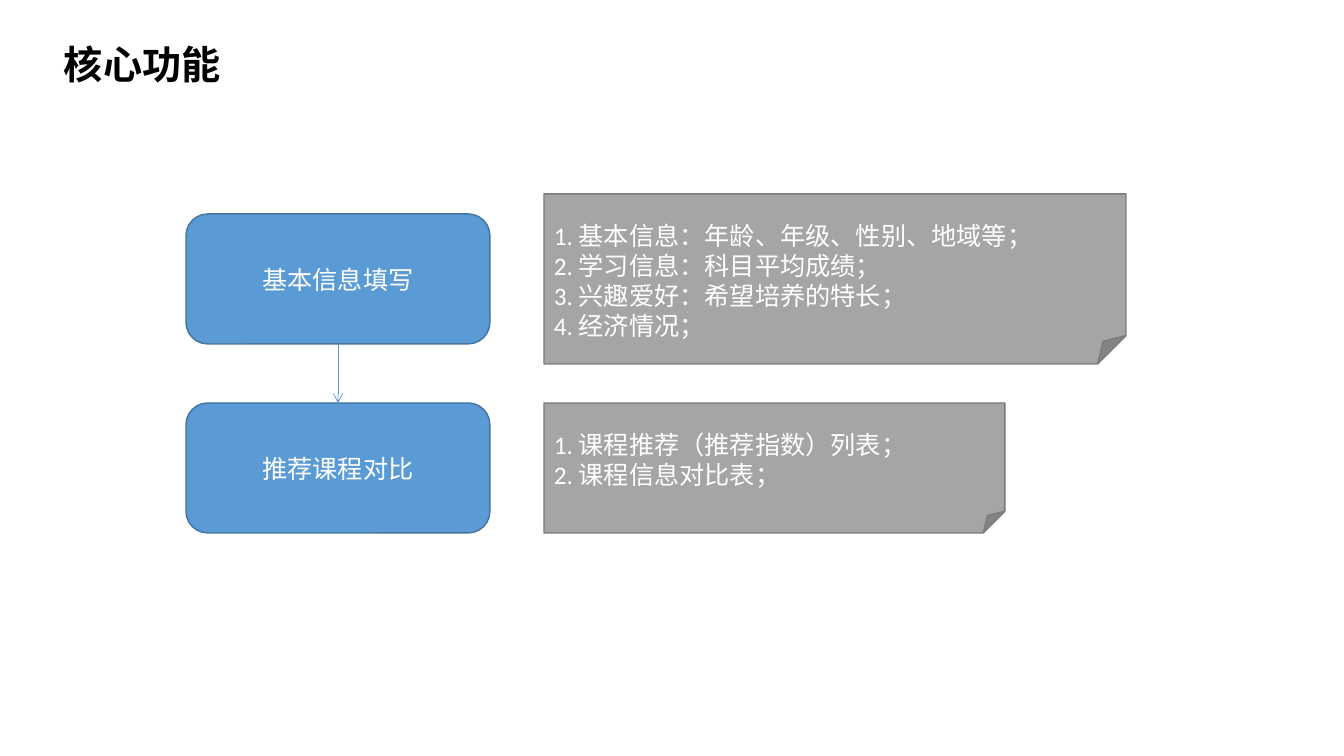
from lxml import etree
from pptx import Presentation, util as u
from pptx.dml.color import RGBColor
from pptx.enum import shapes, text
from pptx.oxml.ns import qn

PX = 914400 / 100.8
FONT = "Calibri"
COLORS = {
    "title": "000000", "text": "FFFFFF",
    "step": "5B9BD5", "step_line": "43739E",
    "note": "A5A5A5", "note_line": "7A7A7A",
}
STEP_X, STEP_W, NOTE_X, ROW_H = 186, 304, 544, 130


def px(n):
    return u.Emu(round(n * PX))


def color(name):
    return RGBColor.from_string(COLORS[name])


def write(tf, lines, size, name, align, bold=False):
    tf.text = "\n".join(lines)
    for p in tf.paragraphs:
        p.alignment = align
        for r in p.runs:
            r.font.name = FONT
            r.font.size = u.Pt(size)
            r.font.bold = bold
            r.font.color.rgb = color(name)


def add_title(s, box, title):
    tf = s.shapes.add_textbox(*map(px, box)).text_frame
    tf.word_wrap = False
    tf.auto_size = text.MSO_AUTO_SIZE.SHAPE_TO_FIT_TEXT
    write(tf, [title], 28, "title", text.PP_ALIGN.LEFT, bold=True)


def add_panel(s, box, kind, style, lines, align):
    sp = s.shapes.add_shape(kind, *map(px, box))
    sp.shadow.inherit = False
    sp.fill.solid()
    sp.fill.fore_color.rgb = color(style)
    sp.line.color.rgb = color(style + "_line")
    sp.line.width = u.Pt(1)
    sp.text_frame.word_wrap = True
    write(sp.text_frame, lines, 18, "text", align)
    return sp


def add_step(s, box, label):
    sp = add_panel(s, box, shapes.MSO_SHAPE.ROUNDED_RECTANGLE, "step",
                   [label], text.PP_ALIGN.CENTER)
    sp.text_frame.vertical_anchor = text.MSO_ANCHOR.MIDDLE
    return sp


def add_note(s, box, items):
    lines = [f"{i}. {item}" for i, item in enumerate(items, 1)]
    sp = add_panel(s, box, shapes.MSO_SHAPE.FOLDED_CORNER, "note",
                   lines, text.PP_ALIGN.LEFT)
    sp.text_frame.vertical_anchor = text.MSO_ANCHOR.TOP
    sp.text_frame.margin_top = px(26)


def add_arrow(s, start, end):
    c = s.shapes.add_connector(shapes.MSO_CONNECTOR.STRAIGHT, 0, 0, 0, 0)
    c.begin_connect(start, 2)
    c.end_connect(end, 0)
    c.line.color.rgb = color("step")
    c.line.width = u.Pt(0.5)
    etree.SubElement(c.line._get_or_add_ln(), qn("a:tailEnd"), type="arrow")
    etree.SubElement(c._element.spPr, qn("a:effectLst"))


def build_slide(prs):
    s = prs.slides.add_slide(prs.slide_layouts[6])
    add_title(s, (54, 35, 177, 57), "核心功能")
    fill_in = add_step(s, (STEP_X, 214, STEP_W, ROW_H), "基本信息填写")
    compare = add_step(s, (STEP_X, 403, STEP_W, ROW_H), "推荐课程对比")
    add_note(s, (NOTE_X, 194, 582, 170), [
        "基本信息：年龄、年级、性别、地域等；",
        "学习信息：科目平均成绩；",
        "兴趣爱好：希望培养的特长；",
        "经济情况；",
    ])
    add_note(s, (NOTE_X, 403, 461, ROW_H), [
        "课程推荐（推荐指数）列表；",
        "课程信息对比表；",
    ])
    add_arrow(s, fill_in, compare)


def main():
    prs = Presentation()
    prs.slide_width, prs.slide_height = px(1344), px(756)
    build_slide(prs)
    prs.save("out.pptx")


if __name__ == "__main__":
    main()
